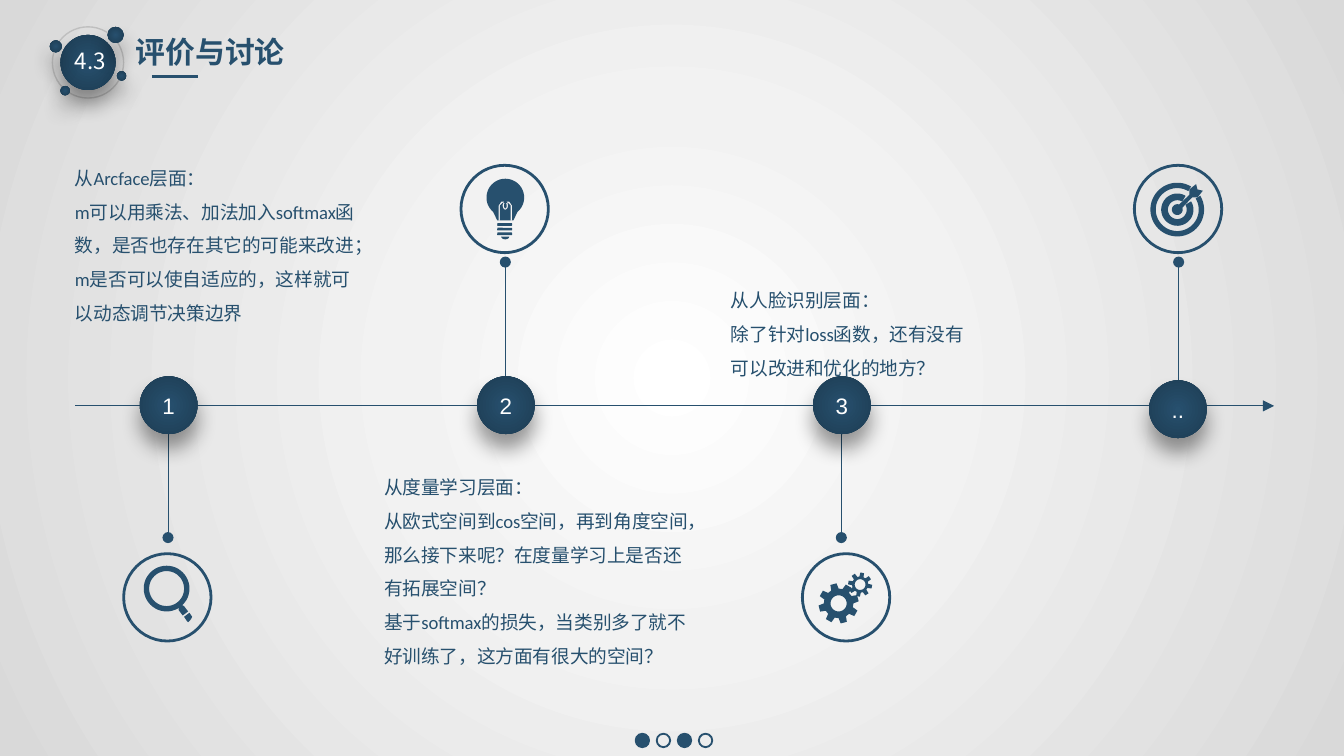
from dataclasses import dataclass
from math import cos, radians, sin

from lxml import etree
from pptx import Presentation
from pptx.dml.color import RGBColor
from pptx.enum import shapes, text
from pptx.oxml import ns
from pptx.util import Inches, Pt


@dataclass(frozen=True)
class Theme:
    """Colours, fonts and type sizes of the slide."""
    navy: str = "27506E"
    deep: str = "1D3C52"
    white: str = "FFFFFF"
    ring: str = "BFBFBF"
    shade: str = "000000"
    backdrop: tuple = ((0, "FFFFFF"), (35, "F2F2F2"), (100, "D9D9D9"))
    cjk: str = "Noto Sans CJK SC"
    latin: str = "Calibri"
    digit: str = "Arial"
    title: int = 16
    number: int = 12
    body: int = 10


THEME = Theme()


def rgb(colour):
    """Turn a hex string into a colour."""
    return RGBColor.from_string(colour)


def add_xml(parent, tag, **attributes):
    """Append a DrawingML element with its attributes."""
    return etree.SubElement(parent, ns.qn(f"a:{tag}"), {k: str(v) for k, v in attributes.items()})


def radial(fill, owner, stops):
    """Give a fill a circular gradient that starts at the centre."""
    fill.gradient()
    gradient = next(owner.iter(ns.qn("a:gradFill")))
    for child in list(gradient):
        gradient.remove(child)
    stop_list = add_xml(gradient, "gsLst")
    for position, colour in stops:
        add_xml(add_xml(stop_list, "gs", pos=position * 1000), "srgbClr", val=colour)
    circle = add_xml(gradient, "path", path="circle")
    add_xml(circle, "fillToRect", l=50000, t=50000, r=50000, b=50000)


def paint(shape, fill=None, line=None, width=1):
    """Set a flat fill and an outline, either of which may be absent."""
    shape.shadow.inherit = False
    if fill:
        shape.fill.solid()
        shape.fill.fore_color.rgb = rgb(fill)
    else:
        shape.fill.background()
    if line:
        shape.line.color.rgb = rgb(line)
        shape.line.width = Pt(width)
    else:
        shape.line.fill.background()


def add_circle(slide, left, top, size, **style):
    """Draw a circle."""
    circle = slide.shapes.add_shape(shapes.MSO_SHAPE.OVAL, *map(Inches, (left, top, size, size)))
    paint(circle, **style)
    return circle


def add_ball(slide, left, top, size):
    """Draw a shaded circle with a soft shadow below it."""
    ball = add_circle(slide, left, top, size)
    properties = ball.element.spPr
    radial(ball.fill, properties, ((0, THEME.navy), (100, THEME.deep)))
    shadow = add_xml(properties.find(ns.qn("a:effectLst")), "outerShdw", blurRad=Pt(11),
                     dist=Pt(8), dir=5400000, algn="t", rotWithShape=0)
    add_xml(add_xml(shadow, "srgbClr", val=THEME.shade), "alpha", val=40000)
    return ball


def add_line(slide, start, end, width, head=None, tail=None):
    """Draw a straight line with optional end marks."""
    line = slide.shapes.add_connector(shapes.MSO_CONNECTOR.STRAIGHT, *map(Inches, start + end))
    line.line.color.rgb = rgb(THEME.navy)
    line.line.width = Pt(width)
    outline = line.element.spPr.find(ns.qn("a:ln"))
    for tag, mark in (("headEnd", head), ("tailEnd", tail)):
        if mark:
            add_xml(outline, tag, type=mark)
    add_xml(line.element.spPr, "effectLst")


def add_run(paragraph, words, size, font, colour, bold=False):
    """Add one styled run."""
    run = paragraph.add_run()
    run.text = words
    run.font.size = Pt(size)
    run.font.name = font
    run.font.bold = bold
    run.font.color.rgb = rgb(colour)
    add_xml(run.font._element, "ea", typeface=THEME.cjk)


def add_text(slide, box, lines, style, wrap=False, align=None, spacing=None):
    """Add a text box with one paragraph per line."""
    frame = slide.shapes.add_textbox(*map(Inches, box)).text_frame
    frame.word_wrap = wrap
    frame.auto_size = text.MSO_AUTO_SIZE.SHAPE_TO_FIT_TEXT
    for index, words in enumerate(lines):
        paragraph = frame.add_paragraph() if index else frame.paragraphs[0]
        paragraph.alignment = align
        paragraph.line_spacing = spacing
        add_run(paragraph, words, *style)


def arc(x, y, radius, start=0, end=360, tall=1):
    """List points along an arc, clockwise in degrees."""
    angles = [radians(start + (end - start) * step / 48) for step in range(49)]
    return [(x + radius * cos(a), y + radius * tall * sin(a)) for a in angles]


def add_outline(slide, *contours):
    """Draw a navy outline whose inner contours are holes."""
    builder = None
    for contour in contours:
        first, *rest = [(Inches(x), Inches(y)) for x, y in contour]
        if builder:
            builder.move_to(*first)
        else:
            builder = slide.shapes.build_freeform(*first)
        builder.add_line_segments(rest, close=True)
    paint(builder.convert_to_shape(), fill=THEME.navy)


def add_magnifier(slide):
    """Draw the magnifier icon."""
    add_outline(slide, [(1.33, 4.52), (1.35, 4.5), (1.37, 4.51), (1.4, 4.55), (1.36, 4.58), (1.33, 4.54)])
    add_outline(slide, arc(1.24, 4.38, 0.17), arc(1.24, 4.38, 0.13))
    add_outline(slide, [(1.41, 4.56), (1.43, 4.59), (1.42, 4.61), (1.4, 4.63), (1.39, 4.62), (1.37, 4.59)])


def add_bulb(slide):
    """Draw the light bulb icon."""
    outer = [(0.05, 1.64), (0.05, 1.53), (0.03, 1.5)]
    inner = [(0.02, 1.51), (0.04, 1.53), (0.04, 1.64)]
    left = [(3.76 - x, y) for x, y in outer]
    right = [(3.76 + x, y) for x, y in reversed(outer)]
    filament = left + right + [(3.76 + x, y) for x, y in reversed(inner)] + [(3.76 - x, y) for x, y in inner]
    glass = arc(3.76, 1.47, 0.14, 130, 410) + [(3.82, 1.64), (3.7, 1.64)]
    add_outline(slide, glass, filament, arc(3.76, 1.53, 0.02, tall=1.5), arc(3.76, 1.53, 0.01, tall=2))
    for row in range(3):
        band = slide.shapes.add_shape(shapes.MSO_SHAPE.ROUNDED_RECTANGLE,
                                      *map(Inches, (3.7, 1.66 + 0.07 * row / 2, 0.11, 0.02)))
        paint(band, fill=THEME.navy)
    add_outline(slide, arc(3.76, 1.76, 0.03, 0, 180, tall=0.7))


def add_gear(slide, x, y, outer, root, hole, phase):
    """Draw a gear with eight teeth."""
    corners = ((-15, root), (-9, outer), (9, outer), (15, root))
    teeth = [(x + r * cos(radians(a)), y + r * sin(radians(a)))
             for tooth in range(8) for a, r in ((phase + 45 * tooth + d, r) for d, r in corners)]
    add_outline(slide, teeth, arc(x, y, hole))


def add_gears(slide):
    """Draw the icon of two gears."""
    add_gear(slide, 6.4, 4.35, 0.09, 0.06, 0.04, 10)
    add_gear(slide, 6.24, 4.49, 0.15, 0.11, 0.06, -15)


def add_target(slide):
    """Draw the target icon with its arrow."""
    x, y = 8.76, 1.56
    for outer, inner in ((0.2, 0.16), (0.12, 0.07)):
        add_outline(slide, arc(x, y, outer, -31, 301) + arc(x, y, inner, 301, -31))
    add_outline(slide, [(8.85, 1.41), (8.9, 1.37), (8.91, 1.41), (8.95, 1.42), (8.91, 1.47), (8.87, 1.47)]
                + arc(x, y, 0.04, -20, 290) + [(8.85, 1.45)])


def add_heading(slide):
    """Draw the section badge, its number and the title."""
    add_circle(slide, 0.39, 0.2, 0.53, line=THEME.ring, width=0.75)
    for ball in ((0.45, 0.26, 0.41), (0.8, 0.2, 0.12), (0.37, 0.3, 0.09), (0.45, 0.64, 0.07), (0.87, 0.53, 0.07)):
        add_ball(slide, *ball)
    add_text(slide, (0.91, 0.2, 1.31, 0.37), ["评价与讨论"],
             (THEME.title, THEME.cjk, THEME.navy, True), align=text.PP_ALIGN.CENTER)
    add_line(slide, (1.13, 0.57), (1.47, 0.57), 1.5)
    add_text(slide, (0.46, 0.3, 0.43, 0.3), ["4.3"], (THEME.number, THEME.cjk, THEME.white))


def add_timeline(slide):
    """Draw the axis with its stems, icon rings and numbered nodes."""
    nodes = (("1", 1.04, 2.8, 1.25, 0.92, False), ("2", 3.55, 2.8, 3.76, 3.43, True),
             ("3", 6.05, 2.8, 6.26, 5.97, False), ("..", 8.55, 2.83, 8.77, 8.44, True))
    for _, _, _, stem, _, above in nodes:
        top, bottom = (1.95, 2.94) if above else (3.01, 4)
        add_line(slide, (stem, top), (stem, bottom), 0.5, "oval", "oval")
    add_line(slide, (0.56, 3.02), (9.48, 3.02), 0.5, tail="triangle")
    for label, left, top, _, ring, above in nodes:
        frame = add_ball(slide, left, top, 0.43).text_frame
        frame.vertical_anchor = text.MSO_ANCHOR.MIDDLE
        frame.paragraphs[0].alignment = text.PP_ALIGN.CENTER
        add_run(frame.paragraphs[0], label, THEME.number, THEME.digit, THEME.white)
        add_circle(slide, ring, 1.23 if above else 4.12, 0.65, line=THEME.navy, width=1.5)


def main():
    """Build and save the slide."""
    deck = Presentation()
    deck.slide_width = Inches(10)
    deck.slide_height = deck.slide_width * 9 // 16
    slide = deck.slides.add_slide(deck.slide_layouts[6])
    radial(slide.background.fill, slide.element, THEME.backdrop)
    add_heading(slide)
    for page in range(4):
        add_circle(slide, 4.73 + 0.47 * page / 3, 5.46, 0.1,
                   fill=None if page % 2 else THEME.navy, line=THEME.navy)
    add_timeline(slide)
    discussions = (
        ((0.46, 1.11, 2.36, 1.61), ["从Arcface层面：", "m可以用乘法、加法加入softmax函数，是否也存在其它的可能来改进；",
                                    "m是否可以使自适应的，这样就可以动态调节决策边界"]),
        ((2.76, 3.41, 2.46, 1.61), ["从度量学习层面：", "从欧式空间到cos空间，再到角度空间，那么接下来呢？在度量学习上是否还有拓展空间？",
                                    "基于softmax的损失，当类别多了就不好训练了，这方面有很大的空间？"]),
        ((5.34, 2.02, 2.01, 0.86), ["从人脸识别层面：", "除了针对loss函数，还有没有可以改进和优化的地方？"]),
    )
    for box, lines in discussions:
        add_text(slide, box, lines, (THEME.body, THEME.latin, THEME.navy), wrap=True, spacing=1.5)
    for add_icon in (add_target, add_gears, add_magnifier, add_bulb):
        add_icon(slide)
    deck.save("out.pptx")


if __name__ == "__main__":
    main()
